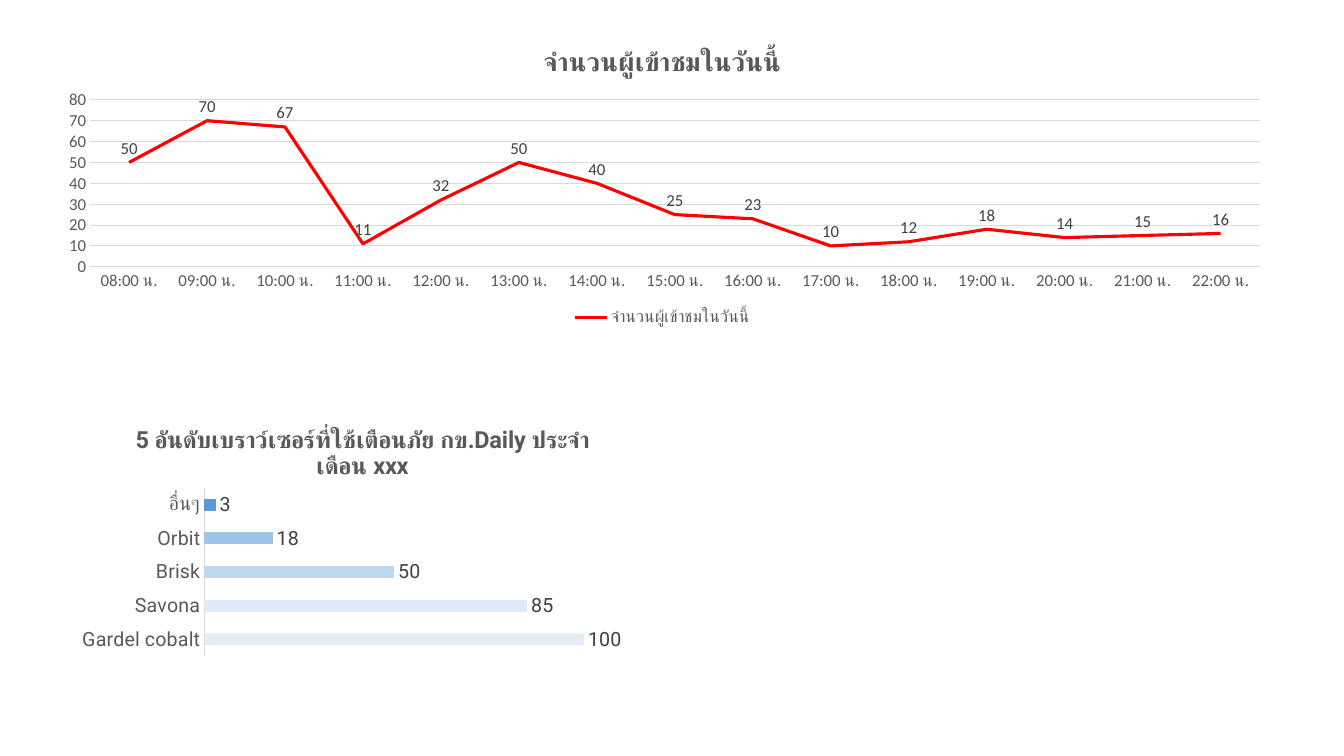
from lxml import etree
from pptx import Presentation
from pptx.chart.data import CategoryChartData
from pptx.dml.color import RGBColor
from pptx.enum.chart import (XL_CHART_TYPE, XL_LABEL_POSITION, XL_LEGEND_POSITION,
                             XL_MARKER_STYLE, XL_TICK_MARK)
from pptx.oxml import parse_xml
from pptx.oxml.ns import nsdecls, qn
from pptx.util import Inches, Pt

RED = RGBColor(0xFF, 0x00, 0x00)
GRAY = RGBColor(0x59, 0x59, 0x59)
DARK = RGBColor(0x40, 0x40, 0x40)
RULE = RGBColor(0xD9, 0xD9, 0xD9)
BLUE = RGBColor(0x5B, 0x9B, 0xD5)
BAR_TINTS = [
    RGBColor(0xDA, 0xE3, 0xF3),
    RGBColor(0xDE, 0xEB, 0xF7),
    RGBColor(0xBD, 0xD7, 0xEE),
    RGBColor(0x9D, 0xC3, 0xE6),
]

VISITORS = "จำนวนผู้เข้าชมในวันนี้"
VISITOR_COUNTS = [50, 70, 67, 11, 32, 50, 40, 25, 23, 10, 12, 18, 14, 15, 16]
HOURS = [f"{hour:02d}:00 น." for hour in range(8, 23)]
BROWSER_TITLE = "5 อันดับเบราว์เซอร์ที่ใช้เตือนภัย กข.Daily ประจำเดือน xxx"
BROWSERS = {"Gardel cobalt": 100, "Savona": 85, "Brisk": 50, "Orbit": 18, "อื่นๆ": 3}


def set_font(font, name, size, color, bold=False):
    font.name = name
    font.size = Pt(size)
    font.bold = bold
    font.color.rgb = color


def set_rule(line):
    line.color.rgb = RULE
    line.width = Pt(0.75)


def set_plot_area(chart, left, top, width, height):
    """Fix the inner plot area, in fractions of the chart box."""
    plot_area = chart.element.find(".//" + qn("c:plotArea"))
    for old in plot_area.findall(qn("c:layout")):
        plot_area.remove(old)
    layout = parse_xml(f"<c:layout {nsdecls('c')}><c:manualLayout/></c:layout>")
    settings = {"layoutTarget": "inner", "xMode": "edge", "yMode": "edge",
                "x": left, "y": top, "w": width, "h": height}
    for tag, value in settings.items():
        etree.SubElement(layout[0], qn("c:" + tag)).set("val", str(value))
    plot_area.insert(0, layout)


def add_titled_chart(page, box, kind, title, title_size, series_name, points, font_name, size):
    """Add a one-series chart with its title, category axis and value labels."""
    data = CategoryChartData()
    data.categories = list(points)
    data.add_series(series_name, list(points.values()))
    chart = page.shapes.add_chart(kind, *map(Inches, box), data).chart
    set_font(chart.font, font_name, size, GRAY)

    # Title
    chart.has_title = True
    span = chart.chart_title.text_frame.paragraphs[0].add_run()
    span.text = title
    set_font(span.font, font_name, title_size, GRAY, bold=True)
    chart.chart_title.include_in_layout = False

    # Category axis
    axis = chart.category_axis
    axis.major_tick_mark = axis.minor_tick_mark = XL_TICK_MARK.NONE
    set_rule(axis.format.line)
    set_font(axis.tick_labels.font, font_name, size, GRAY)

    # Value labels
    labels = chart.plots[0].series[0].data_labels
    labels.show_value = True
    is_line = kind == XL_CHART_TYPE.LINE
    labels.position = XL_LABEL_POSITION.ABOVE if is_line else XL_LABEL_POSITION.OUTSIDE_END
    set_font(labels.font, font_name, size, DARK)
    chart.plots[0].vary_by_categories = False
    return chart


def add_visitor_chart(page, box):
    chart = add_titled_chart(page, box, XL_CHART_TYPE.LINE, VISITORS, 18.6, VISITORS,
                             dict(zip(HOURS, VISITOR_COUNTS)), "Calibri", 12)
    set_plot_area(chart, 0.04, 0.23, 0.94, 0.56)

    # Red line
    series = chart.plots[0].series[0]
    series.smooth = False
    series.format.line.color.rgb = RED
    series.format.line.width = Pt(2.25)
    series.marker.style = XL_MARKER_STYLE.NONE

    # Value axis and gridlines
    axis = chart.value_axis
    axis.minimum_scale, axis.maximum_scale, axis.major_unit = 0, 80, 10
    axis.major_tick_mark = axis.minor_tick_mark = XL_TICK_MARK.NONE
    axis.format.line.fill.background()
    set_font(axis.tick_labels.font, "Calibri", 12, GRAY)
    axis.has_major_gridlines = True
    set_rule(axis.major_gridlines.format.line)

    # Legend
    chart.has_legend = True
    chart.legend.position = XL_LEGEND_POSITION.BOTTOM
    chart.legend.include_in_layout = False
    set_font(chart.legend.font, "Calibri", 12, GRAY)


def add_browser_chart(page, box):
    chart = add_titled_chart(page, box, XL_CHART_TYPE.BAR_CLUSTERED, BROWSER_TITLE, 16.8,
                             "Series 1", BROWSERS, "Roboto", 14)
    set_plot_area(chart, 0.245, 0.31, 0.735, 0.67)
    chart.has_legend = False
    chart.plots[0].gap_width = 182

    # Bars, palest at the bottom
    series = chart.plots[0].series[0]
    series.format.fill.solid()
    series.format.fill.fore_color.rgb = BLUE
    for index, tint in enumerate(BAR_TINTS):
        fill = series.points[index].format.fill
        fill.solid()
        fill.fore_color.rgb = tint

    # The bottom bar is partly transparent
    bottom_bar = chart.element.find(".//" + qn("c:dPt"))
    color = bottom_bar.find(".//" + qn("a:srgbClr"))
    etree.SubElement(color, qn("a:alpha")).set("val", "63000")

    # Hidden value axis
    axis = chart.value_axis
    axis.minimum_scale, axis.maximum_scale = 0, 120
    axis.has_major_gridlines = False
    axis.visible = False


def main():
    deck = Presentation()
    deck.slide_width, deck.slide_height = Inches(13.33), Inches(7.5)
    page = deck.slides.add_slide(deck.slide_layouts[6])
    add_visitor_chart(page, (0.4, 0.31, 12.34, 2.96))
    add_browser_chart(page, (0.52, 4.07, 6.15, 2.49))
    deck.save("out.pptx")


if __name__ == "__main__":
    main()
